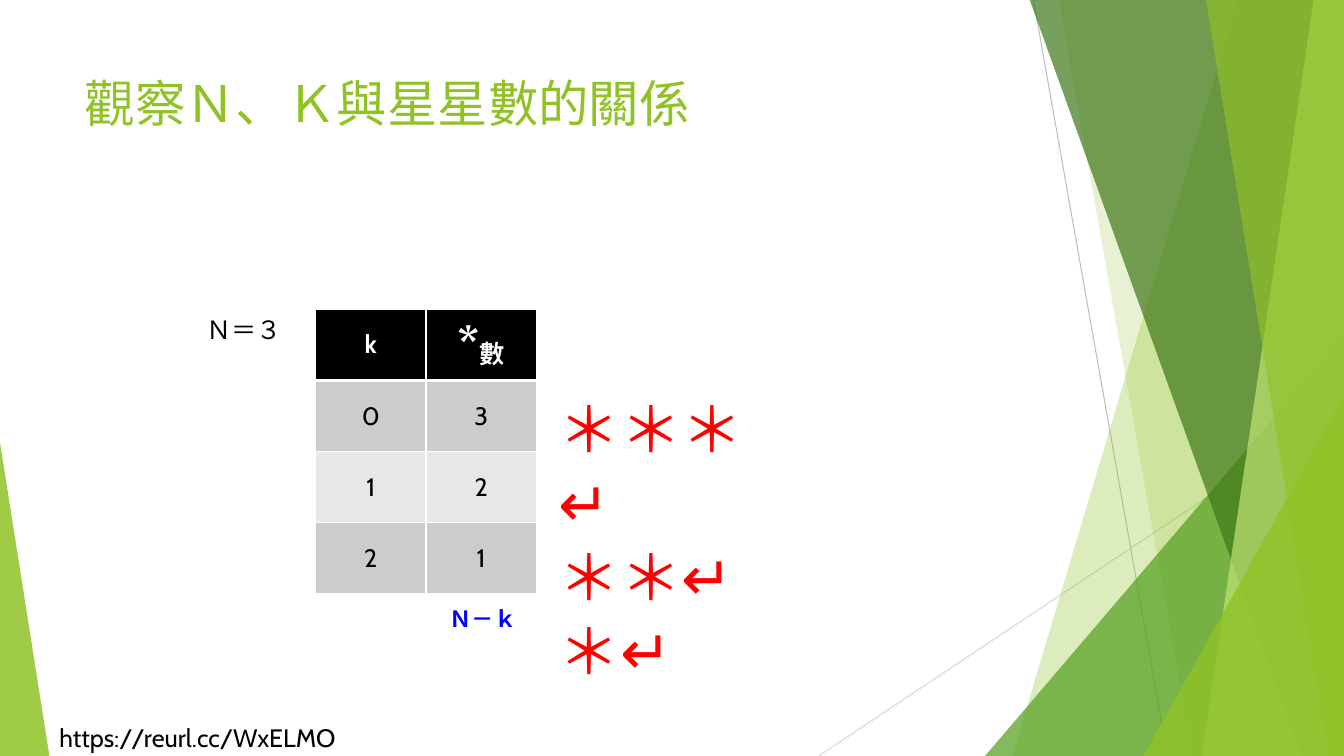
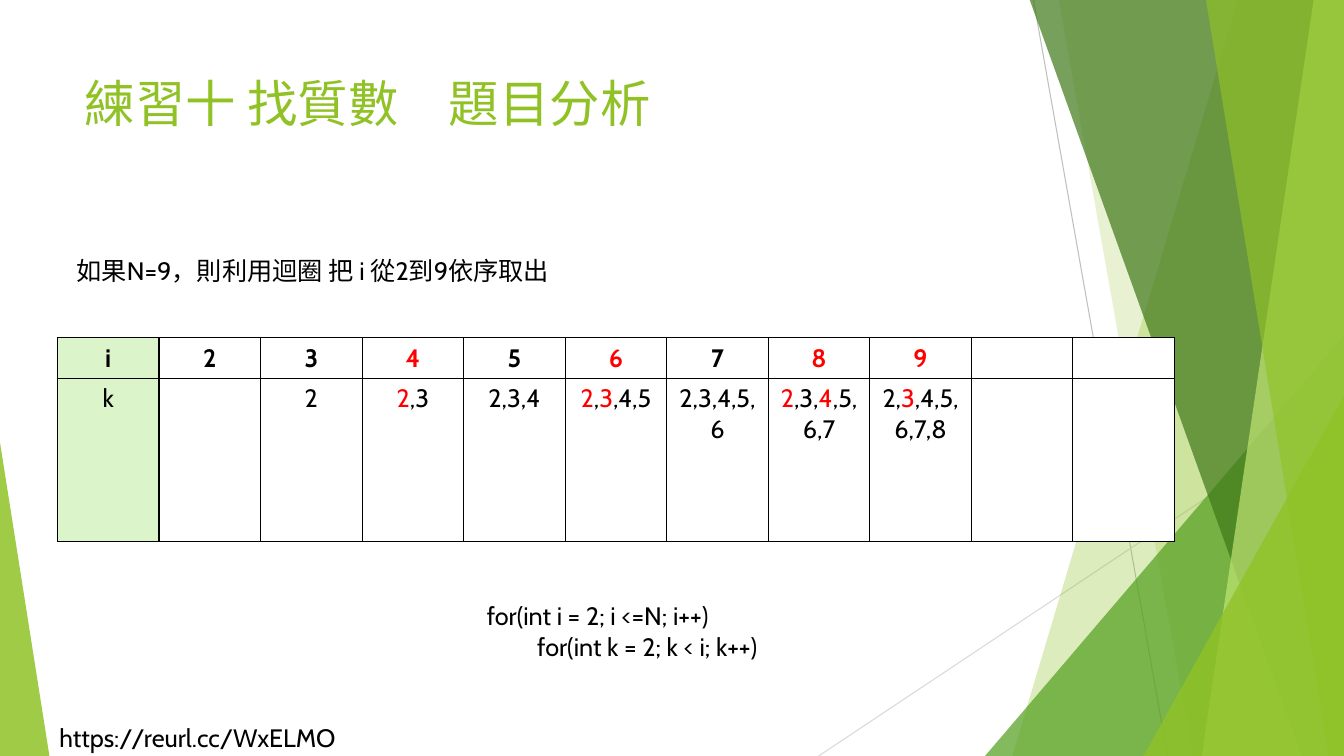
"""Build two lesson slides: star counts for N and k, and a prime number analysis."""
from itertools import groupby
from typing import NamedTuple

from lxml import etree
from pptx import Presentation, util as u
from pptx.dml.color import RGBColor
from pptx.enum import shapes, text
from pptx.oxml.ns import qn

PX = 9144
FONT = "Cabin"
BLACK = RGBColor(0x00, 0x00, 0x00)
WHITE = RGBColor(0xFF, 0xFF, 0xFF)
RED = RGBColor(0xFF, 0x00, 0x00)
BLUE = RGBColor(0x00, 0x00, 0xFF)
GREEN = RGBColor(0x90, 0xC2, 0x26)
MID_GREEN = RGBColor(0x54, 0xA0, 0x21)
DARK_GREEN = RGBColor(0x3F, 0x78, 0x19)
LIGHT_GREEN = RGBColor(0xC0, 0xE4, 0x74)
PALE_GREEN = RGBColor(0xDB, 0xF4, 0xCA)
RULE_GREY = RGBColor(0xBF, 0xBF, 0xBF)
PALE_RULE_GREY = RGBColor(0xD9, 0xD9, 0xD9)
BAND_GREY = RGBColor(0xCC, 0xCC, 0xCC)
PALE_BAND_GREY = RGBColor(0xE7, 0xE7, 0xE7)

WIDTH, HEIGHT = 1333, 750
STAR_COUNT = 3
PRIME_LIMIT = 9
PRIME_COLUMNS = 11


class Span(NamedTuple):
    text: str
    colour: RGBColor = BLACK
    size: int = 18
    bold: bool = False


def px(*lengths):
    return [u.Emu(length * PX) for length in lengths]


def add_spans(para, spans):
    for span in spans:
        run = para.add_run()
        run.text = span.text
        run.font.name = FONT
        run.font.size = u.Pt(span.size)
        run.font.bold = span.bold
        run.font.color.rgb = span.colour


def add_text(page, left, top, width, height, lines, wrap=False, tab=0):
    box = page.shapes.add_textbox(*px(left, top, width, height))
    frame = box.text_frame
    frame.word_wrap = wrap
    for index, spans in enumerate(lines):
        para = frame.paragraphs[0] if index == 0 else frame.add_paragraph()
        if tab:
            stops = etree.SubElement(para._p.get_or_add_pPr(), qn("a:tabLst"))
            etree.SubElement(stops, qn("a:tab"), pos=str(tab * PX), algn="l")
        add_spans(para, spans)


def add_rule(page, start, end, colour):
    rule = page.shapes.add_connector(
        shapes.MSO_CONNECTOR.STRAIGHT, *px(*start, *end))
    rule.line.color.rgb = colour
    rule.line.width = u.Pt(0.75)
    etree.SubElement(rule.element.spPr, qn("a:effectLst"))


def tint(shape, colour, opacity):
    shape.shadow.inherit = False
    shape.line.fill.background()
    shape.fill.solid()
    shape.fill.fore_color.rgb = colour
    solid = shape.element.spPr.find(qn("a:solidFill"))
    etree.SubElement(solid[0], qn("a:alpha"), val=str(opacity * 1000))


def add_facet(page, top_x, bottom_x, colour, opacity):
    builder = page.shapes.build_freeform(top_x, -1, scale=PX)
    builder.add_line_segments(
        [(WIDTH, -1), (WIDTH, HEIGHT), (bottom_x, HEIGHT)], close=True)
    tint(builder.convert_to_shape(), colour, opacity)


def add_triangle(page, left, top, width, apex, colour, opacity):
    triangle = page.shapes.add_shape(
        shapes.MSO_SHAPE.ISOSCELES_TRIANGLE, *px(left, top, width, HEIGHT - top))
    triangle.adjustments[0] = apex
    tint(triangle, colour, opacity)


def decorate_layout(deck, layout):
    page = deck.slides[0]
    add_rule(page, (1025, 0), (1158, HEIGHT), RULE_GREY)
    add_rule(page, (WIDTH, 403), (812, HEIGHT), PALE_RULE_GREY)
    add_facet(page, 1228, 1004, GREEN, 30)
    add_facet(page, 1050, 1183, GREEN, 20)
    add_triangle(page, 977, 333, 356, 1, MID_GREEN, 72)
    add_facet(page, 1021, 1291, DARK_GREEN, 70)
    add_facet(page, 1303, 1192, LIGHT_GREEN, 70)
    add_facet(page, 1196, 1318, GREEN, 65)
    add_triangle(page, 1134, 393, 199, 1, GREEN, 80)
    add_triangle(page, 0, 439, 49, 0, GREEN, 85)
    add_text(page, 49, 712, 312, 40, [[Span("https://reurl.cc/WxELMO")]])
    for shape in list(page.shapes):
        if not shape.is_placeholder:
            layout.shapes.element.append(shape.element)


def add_page(deck, layout, heading):
    page = deck.slides.add_slide(layout)
    title = page.shapes.title
    title.left, title.top, title.width, title.height = px(74, 67, 940, 144)
    frame = title.text_frame
    frame.word_wrap = True
    frame.auto_size = text.MSO_AUTO_SIZE.NONE
    frame.vertical_anchor = text.MSO_ANCHOR.TOP
    para = frame.paragraphs[0]
    para.alignment = text.PP_ALIGN.LEFT
    add_spans(para, [Span(heading, GREEN, 36)])
    return page


def add_border(cell, side, colour, width):
    line = etree.SubElement(
        cell._tc.get_or_add_tcPr(), qn(f"a:ln{side}"), w=str(u.Pt(width)))
    solid = etree.SubElement(line, qn("a:solidFill"))
    etree.SubElement(solid, qn("a:srgbClr"), val=str(colour))


def add_grid(page, place, rows, fill_at, border, header_rule, anchor):
    table = page.shapes.add_table(len(rows), len(rows[0]), *px(*place)).table
    table.first_row = table.horz_banding = False
    for row, cells in enumerate(rows):
        for column, spans in enumerate(cells):
            cell = table.cell(row, column)
            for side in "LRTB":
                under_header = (side, row) in (("B", 0), ("T", 1))
                add_border(cell, side, border, header_rule if under_header else 1)
            cell.fill.solid()
            cell.fill.fore_color.rgb = fill_at(row, column)
            cell.vertical_anchor = anchor
            para = cell.text_frame.paragraphs[0]
            para.alignment = text.PP_ALIGN.CENTER
            add_spans(para, spans)
    return table


def star_fill(row, column):
    if row == 0:
        return BLACK
    return BAND_GREY if row % 2 else PALE_BAND_GREY


def prime_fill(row, column):
    return WHITE if column else PALE_GREEN


def divisor_spans(number):
    pieces = []
    for k in range(2, number):
        if pieces:
            pieces.append((",", BLACK))
        pieces.append((str(k), BLACK if number % k else RED))
    return [Span("".join(piece for piece, _ in group), colour)
            for colour, group in groupby(pieces, key=lambda piece: piece[1])]


def fill_star_page(page):
    add_text(page, 195, 307, 96, 40, [[Span("Ｎ＝３")]])
    header = [[Span("k", WHITE, bold=True)],
              [Span("*", WHITE, 36, True), Span("數", WHITE, bold=True)]]
    counts = [[[Span(str(k))], [Span(str(STAR_COUNT - k))]]
              for k in range(STAR_COUNT)]
    add_grid(page, (313, 307, 219, 282), [header, *counts], star_fill,
             WHITE, 3, text.MSO_ANCHOR.MIDDLE)
    stars = [[Span("＊" * (STAR_COUNT - k) + "↵", RED, 44)]
             for k in range(STAR_COUNT)]
    add_text(page, 544, 383, 246, 232, stars, wrap=True)
    add_text(page, 436, 595, 88, 37, [[Span("Ｎ－ｋ", BLUE, 16, True)]])


def fill_prime_page(page):
    header = [[Span("i", bold=True)]]
    divisors = [[Span("k")]]
    for number in range(2, PRIME_LIMIT + 1):
        prime = all(number % k for k in range(2, number))
        header.append([Span(str(number), BLACK if prime else RED, bold=True)])
        divisors.append(divisor_spans(number))
    rows = [cells + [[]] * (PRIME_COLUMNS - len(cells))
            for cells in (header, divisors)]
    table = add_grid(page, (57, 335, 1108, 202), rows, prime_fill,
                     BLACK, 1, text.MSO_ANCHOR.TOP)
    table.rows[0].height, table.rows[1].height = px(40, 162)
    add_text(page, 66, 248, 498, 40,
             [[Span("如果N=9，則利用迴圈 把 i 從2到9依序取出")]], wrap=True)
    add_text(page, 473, 591, 336, 71,
             [[Span("for(int i = 2; i <=N; i++)")],
              [Span("\tfor(int k = 2; k < i; k++)")]], tab=50)


def main():
    deck = Presentation()
    deck.slide_width, deck.slide_height = px(WIDTH, HEIGHT)
    layout = deck.slide_layouts[5]
    star_page = add_page(deck, layout, "觀察Ｎ、Ｋ與星星數的關係")
    decorate_layout(deck, layout)
    fill_star_page(star_page)
    fill_prime_page(add_page(deck, layout, "練習十 找質數　題目分析"))
    deck.save("out.pptx")


if __name__ == "__main__":
    main()
